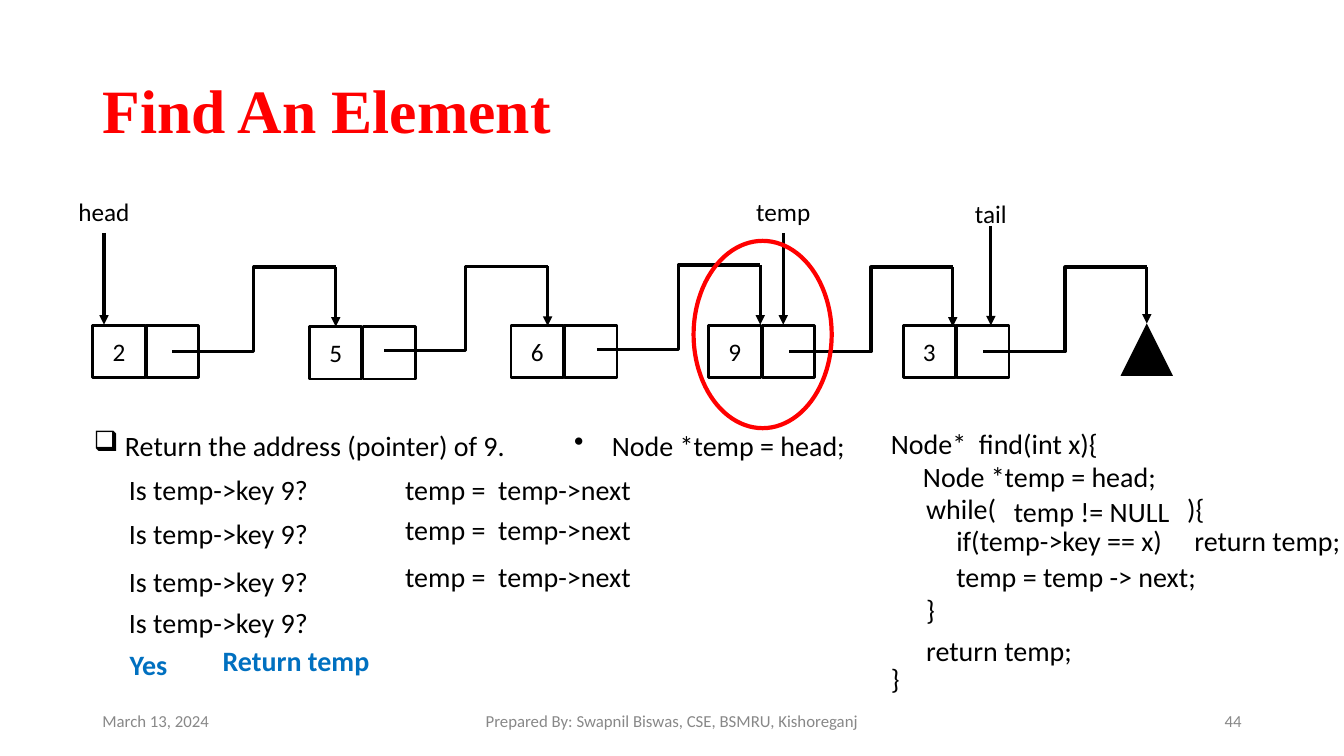
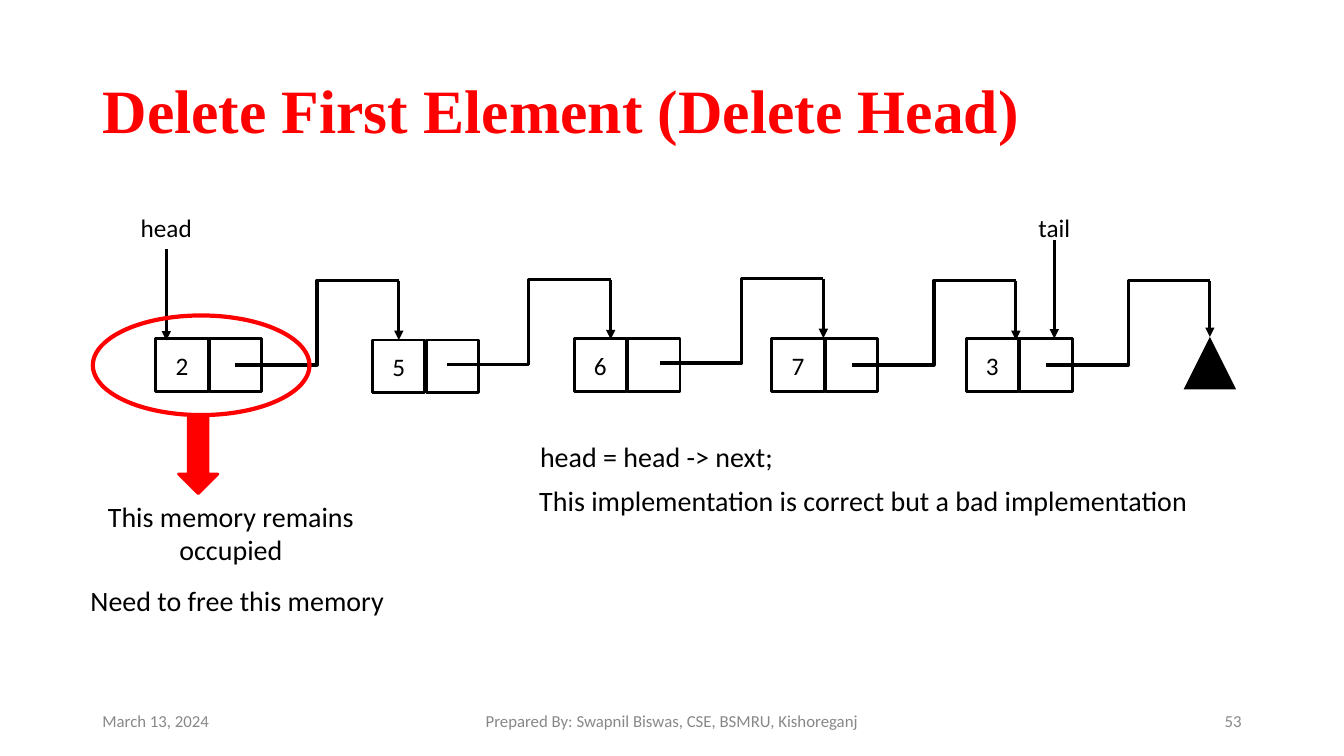
from lxml import etree
from pptx import Presentation
from pptx.dml.color import RGBColor
from pptx.enum.shapes import MSO_CONNECTOR, MSO_SHAPE
from pptx.enum.text import MSO_ANCHOR, MSO_AUTO_SIZE, PP_ALIGN
from pptx.oxml.ns import qn
from pptx.util import Cm, Pt

LEFT, CENTER, RIGHT = PP_ALIGN.LEFT, PP_ALIGN.CENTER, PP_ALIGN.RIGHT
MIDDLE, TOP = MSO_ANCHOR.MIDDLE, MSO_ANCHOR.TOP
FIT_SHAPE = MSO_AUTO_SIZE.SHAPE_TO_FIT_TEXT
STRAIGHT, ELBOW = MSO_CONNECTOR.STRAIGHT, MSO_CONNECTOR.ELBOW
RECTANGLE, OVAL = MSO_SHAPE.RECTANGLE, MSO_SHAPE.OVAL
TRIANGLE, DOWN_ARROW = MSO_SHAPE.ISOSCELES_TRIANGLE, MSO_SHAPE.DOWN_ARROW
TITLE_ONLY = 5

COLORS = {"ink": "000000", "accent": "FF0000", "answer": "0070C0", "footer": "888888"}
BODY_FONT, TITLE_FONT = "Calibri", "Times New Roman"
DATE = "March 13, 2024"
AUTHOR = "Prepared By: Swapnil Biswas, CSE, BSMRU, Kishoreganj"

CELL, CELL_STEP = 1.32, 1.35
NODE_PLACES = [(2.34, 8.2), (7.8, 8.23), (12.88, 8.2), (17.86, 8.2), (22.76, 8.2)]
LINK_STARTS = [(4.34, 8.86), (9.68, 8.84), (15.04, 8.81), (19.89, 8.86), (24.78, 8.86)]
LINK_WIDTH, LINK_RISE, LINK_DROP = 4.12, 2.13, 1.5
NULL_PLACE = (28.24, 8.15)


def rgb(name):
    return RGBColor.from_string(COLORS[name])


class Deck:
    def __init__(self):
        self.presentation = Presentation()
        self.presentation.slide_width = Cm(33.87)
        self.presentation.slide_height = Cm(19.05)
        self.slide = None

    def start(self, title, number):
        layout = self.presentation.slide_layouts[TITLE_ONLY]
        self.slide = self.presentation.slides.add_slide(layout)
        heading = self.slide.shapes.title
        heading.left, heading.top = Cm(2.33), Cm(1.01)
        heading.width, heading.height = Cm(29.21), Cm(3.68)
        heading.text_frame.vertical_anchor = MIDDLE
        paragraph = heading.text_frame.paragraphs[0]
        paragraph.line_spacing = 0.9
        self.add_words(paragraph, title, 44, "accent", True, LEFT, TITLE_FONT)
        for words, x, width, align in [
            (DATE, 2.33, 7.62, LEFT),
            (AUTHOR, 11.22, 11.43, CENTER),
            (number, 23.92, 7.62, RIGHT),
        ]:
            self.text(words, x, 17.66, width, 1.01, size=12, color="footer",
                      align=align, wrap=True, anchor=MIDDLE)

    def add_words(self, paragraph, words, size, color, bold, align, font=BODY_FONT):
        paragraph.alignment = align
        run = paragraph.add_run()
        run.text = words
        run.font.name, run.font.size, run.font.bold = font, Pt(size), bold
        run.font.color.rgb = rgb(color)

    def text(self, words, x, y, width=None, height=1.12, size=20, color="ink", bold=False,
             align=LEFT, wrap=False, anchor=TOP, bullet=None, indent=0):
        width = width or 0.6 + 0.34 * len(words) + indent
        box = self.slide.shapes.add_textbox(Cm(x), Cm(y), Cm(width), Cm(height))
        frame = box.text_frame
        frame.word_wrap, frame.vertical_anchor = wrap, anchor
        if not wrap:
            frame.auto_size = FIT_SHAPE
        paragraph = frame.paragraphs[0]
        if bullet:
            properties = paragraph._p.get_or_add_pPr()
            properties.set("marL", str(Cm(indent)))
            properties.set("indent", str(-Cm(indent)))
            etree.SubElement(properties, qn("a:buChar")).set("char", bullet)
        self.add_words(paragraph, words, size, color, bold, align)

    def shape(self, kind, x, y, width, height, fill=None, line=None, weight=2):
        shape = self.slide.shapes.add_shape(kind, Cm(x), Cm(y), Cm(width), Cm(height))
        shape.shadow.inherit = False
        if fill:
            shape.fill.solid()
            shape.fill.fore_color.rgb = rgb(fill)
        else:
            shape.fill.background()
        if line:
            shape.line.color.rgb = rgb(line)
            shape.line.width = Pt(weight)
        else:
            shape.line.fill.background()
        return shape

    def connector(self, kind, x1, y1, x2, y2, arrow=False):
        line = self.slide.shapes.add_connector(kind, Cm(x1), Cm(y1), Cm(x2), Cm(y2))
        line.line.color.rgb = rgb("ink")
        line.line.width = Pt(2.25)
        if arrow:
            outline = line.line._get_or_add_ln()
            etree.SubElement(outline, qn("a:tailEnd")).set("type", "triangle")
        etree.SubElement(line._element.spPr, qn("a:effectLst"))
        return line

    def node(self, value, x, y):
        key = self.shape(RECTANGLE, x, y, CELL, CELL, line="ink")
        frame = key.text_frame
        frame.margin_left = frame.margin_right = frame.margin_top = frame.margin_bottom = 0
        frame.vertical_anchor = MIDDLE
        self.add_words(frame.paragraphs[0], value, 18, "ink", False, CENTER)
        self.shape(RECTANGLE, x + CELL_STEP, y, CELL, CELL, line="ink")
        return key

    def link(self, x, y, target=None):
        end, top = x + LINK_WIDTH, y - LINK_RISE
        self.connector(ELBOW, x, y, end, top)
        drop = self.connector(STRAIGHT, end, top, end, top + LINK_DROP, arrow=True)
        if target:
            drop.end_connect(target, 0)

    def linked_list(self, values, dx=0, dy=0):
        keys = [self.node(value, x + dx, y + dy) for value, (x, y) in zip(values, NODE_PLACES)]
        null_x, null_y = NULL_PLACE
        null = self.shape(TRIANGLE, null_x + dx, null_y + dy, CELL, CELL, fill="ink")
        centred_targets = {0: keys[1], len(keys) - 1: null}
        for index, (x, y) in enumerate(LINK_STARTS):
            self.link(x + dx, y + dy, centred_targets.get(index))

    def pointer(self, label, x, label_top, arrow_top, arrow_tip):
        self.text(label, x - 1, label_top, 2, 1.02, size=18, align=CENTER)
        self.connector(STRAIGHT, x, arrow_top, x, arrow_tip, arrow=True)

    def ring(self, x, y, width, height):
        self.shape(OVAL, x, y, width, height, line="accent", weight=3)


def find_element(deck):
    deck.start("Find An Element", "44")
    deck.linked_list("25693")
    deck.pointer("head", 2.62, 4.83, 5.87, 8.18)
    deck.pointer("temp", 19.74, 4.83, 5.87, 8.18)
    deck.pointer("tail", 24.97, 4.88, 5.69, 8.2)
    deck.ring(17.48, 6.07, 3.48, 4.72)
    deck.text("Return the address (pointer) of 9.", 2.11, 10.67, bullet="❑", indent=0.79)
    deck.text("Node *temp = head;", 14.22, 10.67, bullet="•", indent=0.95)
    for y in (11.79, 12.9, 14.1, 15.14):
        deck.text("Is temp->key 9?", 3, y)
    for y in (11.79, 12.78, 13.97):
        deck.text("temp =  temp->next", 9.96, y)
    deck.text("Yes", 3.02, 16.18, color="answer", bold=True)
    deck.text("Return temp", 5.36, 16.1, color="answer", bold=True)
    for words, x, y in [
        ("Node*  find(int x){", 22.2, 10.62),
        ("Node *temp = head;", 23.01, 11.46),
        ("while(", 23.09, 12.27),
        ("temp != NULL", 25.3, 12.34),
        ("){", 29.67, 12.27),
        ("if(temp->key == x)", 23.85, 13.06),
        ("return temp;", 29.85, 13.06),
        ("temp = temp -> next;", 23.85, 13.97),
        ("}", 23.09, 14.81),
        ("return temp;", 23.09, 15.85),
        ("}", 22.2, 16.54),
    ]:
        deck.text(words, x, y)


def delete_head(deck):
    deck.start("Delete First Element (Delete Head)", "53")
    deck.linked_list("25673", dx=1.59, dy=0.34)
    deck.pointer("head", 4.19, 5.23, 6.27, 8.58)
    deck.pointer("tail", 26.57, 5.23, 6.05, 8.53)
    deck.ring(2.34, 7.95, 5.46, 2.51)
    deck.shape(DOWN_ARROW, 4.5, 10.46, 0.99, 1.98, fill="accent", line="accent")
    deck.text("head = head -> next;", 13.36, 10.95)
    deck.text("This implementation is correct but a bad implementation", 13.34, 12.07)
    deck.text("This memory remains occupied", 1.63, 12.45, 8.38, 1.96, align=CENTER, wrap=True)
    deck.text("Need to free this memory", 2.03, 14.58)


def main():
    deck = Deck()
    find_element(deck)
    delete_head(deck)
    deck.presentation.save("out.pptx")


if __name__ == "__main__":
    main()
